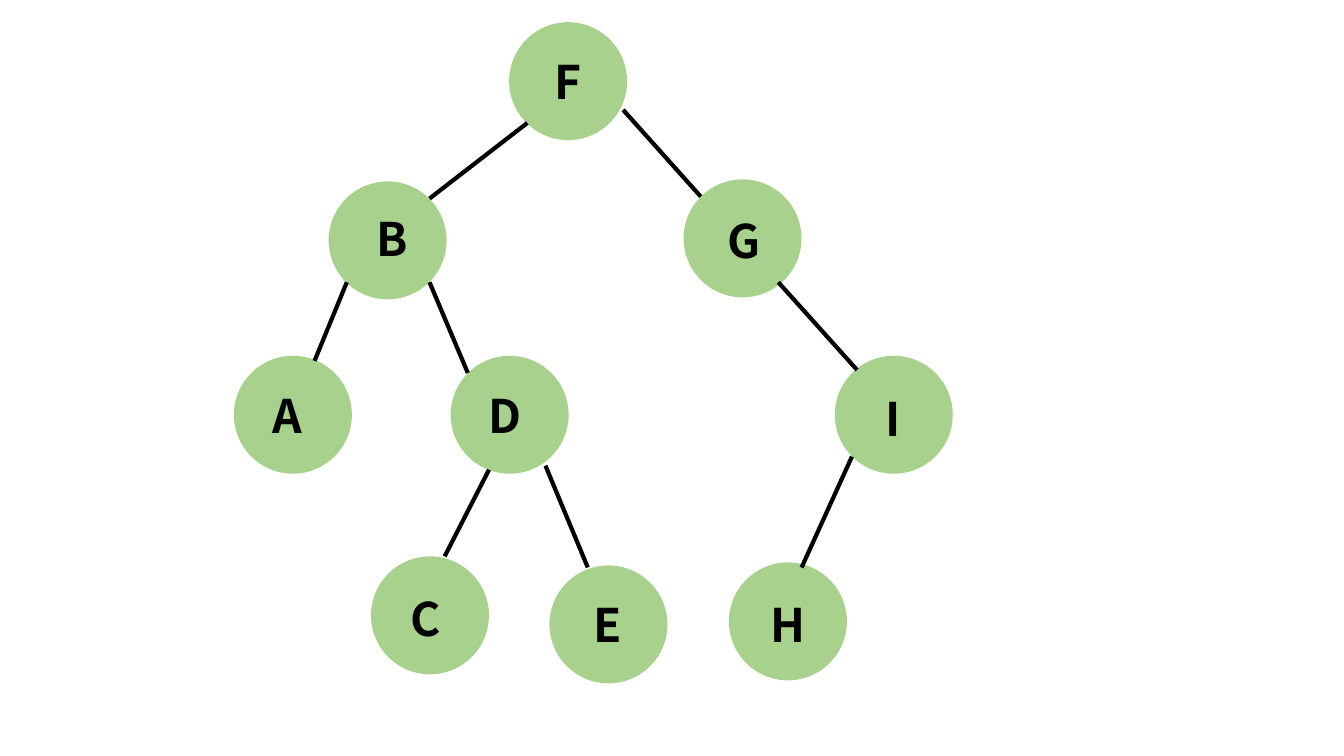
from dataclasses import dataclass

from pptx import Presentation
from pptx.dml.color import RGBColor
from pptx.enum.shapes import MSO_CONNECTOR, MSO_SHAPE
from pptx.enum.text import MSO_AUTO_SIZE
from pptx.oxml.ns import qn
from pptx.util import Inches, Pt


@dataclass(frozen=True)
class Theme:
    node: RGBColor = RGBColor(0xA9, 0xD1, 0x8E)
    ink: RGBColor = RGBColor(0, 0, 0)
    font: str = "Noto Sans CJK KR"
    letter_size: Pt = Pt(33)
    edge_width: Pt = Pt(3)


THEME = Theme()
DIAMETER = 1.17
LABEL_WIDTH, LABEL_HEIGHT = 0.6, 0.66

CIRCLES = {
    "F": (5.05, 0.22),
    "B": (3.26, 1.8),
    "G": (6.78, 1.78),
    "A": (2.32, 3.53),
    "D": (4.47, 3.53),
    "C": (3.68, 5.52),
    "E": (5.45, 5.61),
    "I": (8.28, 3.53),
    "H": (7.23, 5.58),
}

EDGES = {
    "FB": ((5.23, 1.22), (4.26, 1.97)),
    "BA": ((3.44, 2.8), (3.12, 3.58)),
    "BD": ((4.26, 2.8), (4.64, 3.7)),
    "FG": ((6.18, 1.09), (6.95, 1.95)),
    "GI": ((7.72, 2.8), (8.5, 3.67)),
    "DE": ((5.41, 4.62), (5.83, 5.63)),
    "DC": ((4.85, 4.66), (4.41, 5.52)),
    "IH": ((8.45, 4.53), (7.95, 5.63)),
}

LABELS = {
    "F": (5.4, 0.48),
    "B": (3.64, 2.04),
    "A": (2.6, 3.79),
    "G": (7.12, 2.06),
    "D": (4.75, 3.79),
    "C": (3.97, 5.81),
    "E": (5.79, 5.87),
    "I": (8.68, 3.82),
    "H": (7.54, 5.87),
}


def add_node(s, left, top):
    sp = s.shapes.add_shape(MSO_SHAPE.OVAL, Inches(left), Inches(top),
                            Inches(DIAMETER), Inches(DIAMETER))
    sp.shadow.inherit = False
    sp.fill.solid()
    sp.fill.fore_color.rgb = THEME.node
    sp.line.fill.background()


def add_edge(s, start, end):
    x1, y1 = start
    x2, y2 = end
    line = s.shapes.add_connector(MSO_CONNECTOR.STRAIGHT, Inches(x1), Inches(y1),
                                  Inches(x2), Inches(y2))
    line.line.color.rgb = THEME.ink
    line.line.width = THEME.edge_width
    sp_pr = line._element.spPr
    sp_pr.append(sp_pr.makeelement(qn("a:effectLst"), {}))


def add_label(s, letter, left, top):
    sp = s.shapes.add_textbox(Inches(left), Inches(top),
                              Inches(LABEL_WIDTH), Inches(LABEL_HEIGHT))
    tf = sp.text_frame
    tf.word_wrap = True
    tf.auto_size = MSO_AUTO_SIZE.SHAPE_TO_FIT_TEXT
    tf.text = letter
    font = tf.paragraphs[0].runs[0].font
    font.name = THEME.font
    font.size = THEME.letter_size
    font.bold = True
    font.color.rgb = THEME.ink


def main():
    prs = Presentation()
    prs.slide_width, prs.slide_height = Inches(13.33), Inches(7.5)
    s = prs.slides.add_slide(prs.slide_layouts.get_by_name("Blank"))
    for corner in CIRCLES.values():
        add_node(s, *corner)
    for start, end in EDGES.values():
        add_edge(s, start, end)
    for letter, corner in LABELS.items():
        add_label(s, letter, *corner)
    prs.save("out.pptx")


if __name__ == "__main__":
    main()
